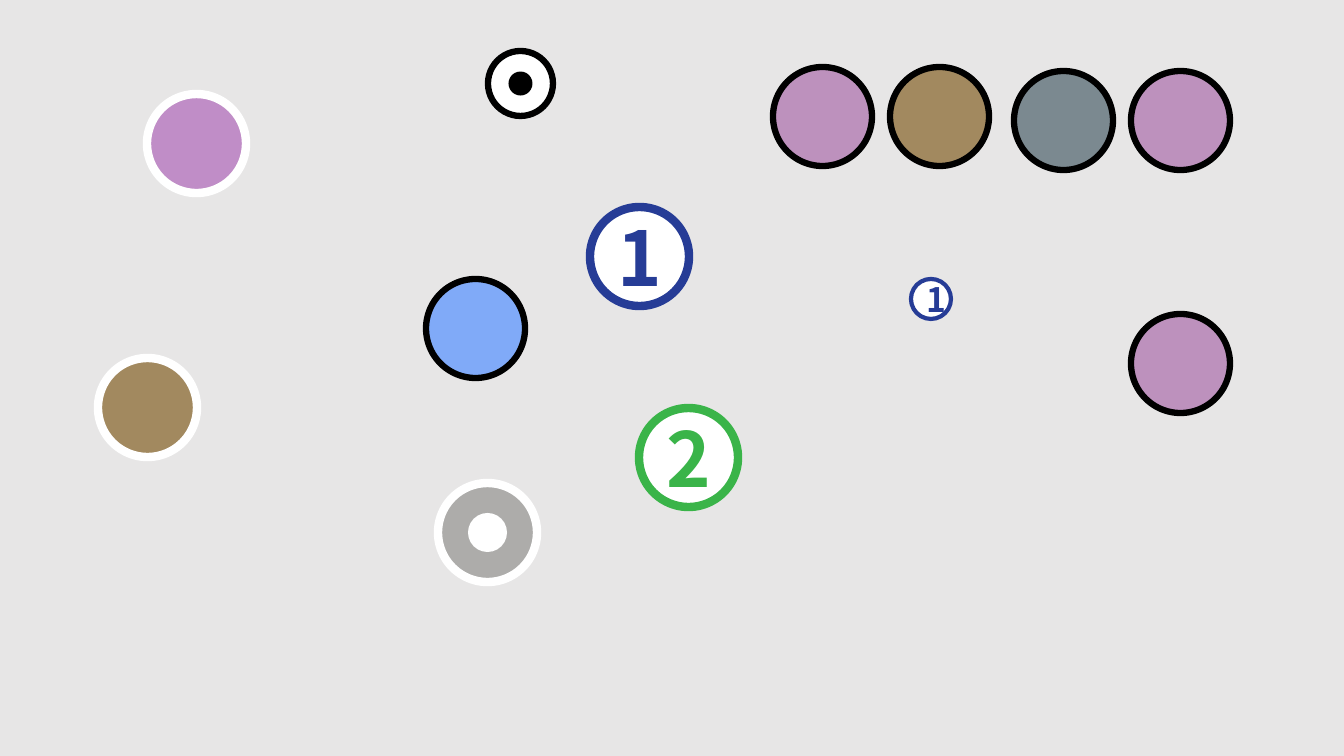
from dataclasses import dataclass

from pptx import Presentation
from pptx.dml.color import RGBColor
from pptx.enum.shapes import MSO_SHAPE
from pptx.enum.text import MSO_ANCHOR, PP_ALIGN
from pptx.util import Pt

ELLIPSE = MSO_SHAPE.OVAL
CENTER = PP_ALIGN.CENTER
MIDDLE = MSO_ANCHOR.MIDDLE

PX = 914400 / 100.8
SLIDE_WIDTH, SLIDE_HEIGHT = 1344, 756
DISC = 99


@dataclass(frozen=True)
class Theme:
    font: str = "Noto Sans CJK KR"
    background: str = "E7E6E6"
    white: str = "FFFFFF"
    black: str = "000000"
    navy: str = "263C96"
    green: str = "3AB449"
    orchid: str = "C08DC7"
    mauve: str = "BD91BD"
    sky: str = "80AAF8"
    tan: str = "A2895F"
    gray: str = "ADACAA"
    slate: str = "7B8990"
    thick: float = 6
    medium: float = 4.5
    thin: float = 3
    large_digit: int = 54
    small_digit: int = 24


THEME = Theme()

# digit, left, top, diameter, colour, outline width, digit size
NUMBERED = [
    ("1", 590, 207, DISC, THEME.navy, THEME.thick, THEME.large_digit),
    ("1", 911, 279, 40, THEME.navy, THEME.thin, THEME.small_digit),
    ("2", 639, 408, DISC, THEME.green, THEME.thick, THEME.large_digit),
]

# left, top, fill
WHITE_RIMMED = [
    (147, 94, THEME.orchid),
    (98, 358, THEME.tan),
]
BLACK_RIMMED = [
    (426, 279, THEME.sky),
    (773, 67, THEME.mauve),
    (890, 67, THEME.tan),
    (1014, 71, THEME.slate),
    (1131, 71, THEME.mauve),
    (1131, 314, THEME.mauve),
]

# left, top, diameter, fill, outline, outline width, dot diameter, dot fill
TARGETS = [
    (438, 483, DISC, THEME.gray, THEME.white, THEME.thick, 39, THEME.white),
    (488, 51, 65, THEME.white, THEME.black, THEME.medium, 24, THEME.black),
]


def px(length):
    return round(length * PX)


def color(value):
    return RGBColor.from_string(value)


def add_disc(slide, left, top, diameter, fill, rim=None, rim_width=0):
    disc = slide.shapes.add_shape(
        ELLIPSE, px(left), px(top), px(diameter), px(diameter))
    disc.shadow.inherit = False
    disc.fill.solid()
    disc.fill.fore_color.rgb = color(fill)
    if rim:
        disc.line.color.rgb = color(rim)
        disc.line.width = Pt(rim_width)
    else:
        disc.line.fill.background()
    return disc


def add_numbered(slide, digit, left, top, diameter, ink, rim_width, size):
    disc = add_disc(slide, left, top, diameter, THEME.white, ink, rim_width)
    frame = disc.text_frame
    frame.text = digit
    frame.vertical_anchor = MIDDLE
    paragraph = frame.paragraphs[0]
    paragraph.alignment = CENTER
    font = paragraph.runs[0].font
    font.name = THEME.font
    font.size = Pt(size)
    font.bold = True
    font.color.rgb = color(ink)


def add_target(slide, left, top, diameter, fill, rim, rim_width, dot, dot_fill):
    """Add a disc with a smaller dot at its centre."""
    add_disc(slide, left, top, diameter, fill, rim, rim_width)
    inset = (diameter - dot) / 2
    add_disc(slide, left + inset, top + inset, dot, dot_fill)


def main():
    deck = Presentation()
    deck.slide_width, deck.slide_height = px(SLIDE_WIDTH), px(SLIDE_HEIGHT)
    slide = deck.slides.add_slide(deck.slide_layouts[6])
    slide.background.fill.solid()
    slide.background.fill.fore_color.rgb = color(THEME.background)

    for numbered in NUMBERED:
        add_numbered(slide, *numbered)
    for left, top, fill in WHITE_RIMMED:
        add_disc(slide, left, top, DISC, fill, THEME.white, THEME.thick)
    for left, top, fill in BLACK_RIMMED:
        add_disc(slide, left, top, DISC, fill, THEME.black, THEME.medium)
    for target in TARGETS:
        add_target(slide, *target)

    deck.save("out.pptx")


if __name__ == "__main__":
    main()
